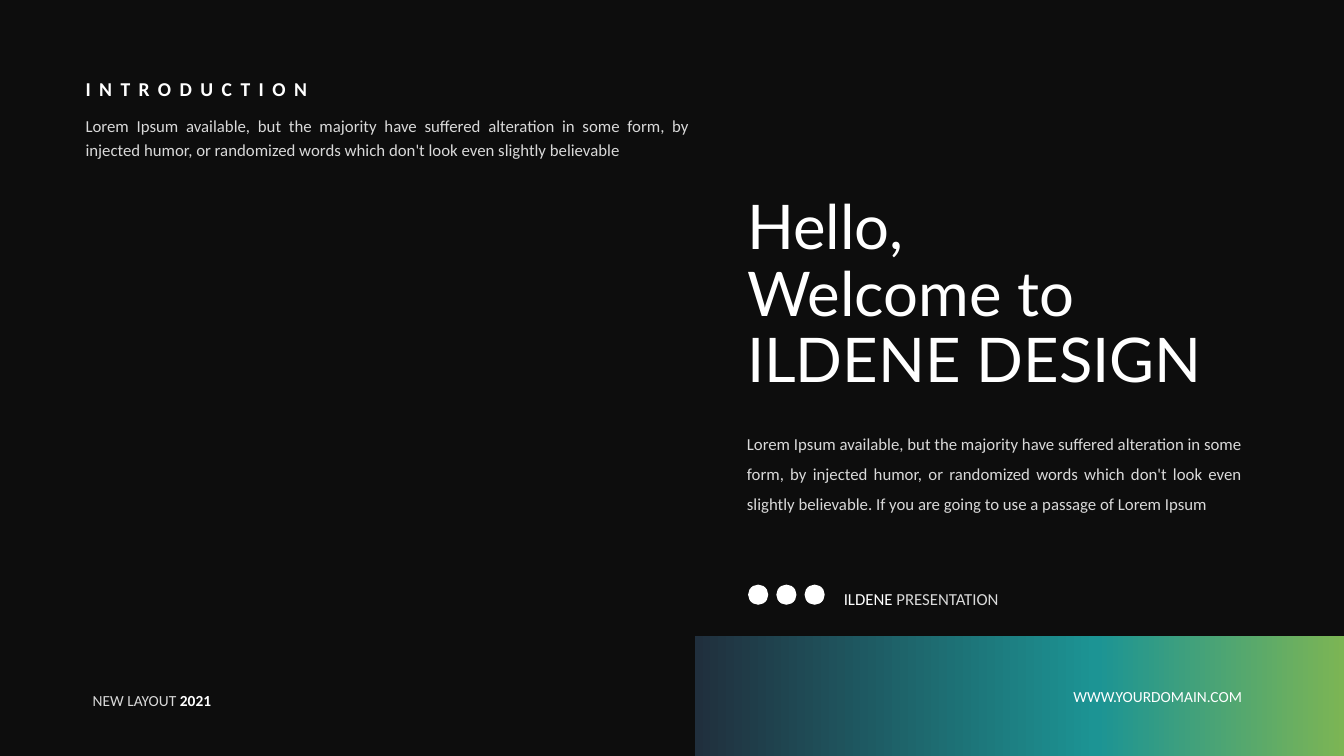
import copy
import pptx
import pptx.util
import pptx.dml.color
import pptx.enum.shapes
import pptx.enum.text

Inches = pptx.util.Inches
ALIGN = pptx.enum.text.PP_ALIGN
SHAPE = pptx.enum.shapes.MSO_SHAPE

# Content
WHITE, GREY, BLACK = "FFFFFF", "D9D9D9", "0D0D0D"
LOREM = ("Lorem Ipsum available, but the majority have suffered alteration in some "
         "form, by injected humor, or randomized words which don't look even "
         "slightly believable")
TITLE = ["Hello,", "Welcome to ILDENE DESIGN"]
STOPS = [(0, "202F3D"), (0.62, "1C9494"), (1, "7CB554")]
BAND = (6.89, 6.31, 6.44, 1.19)
DOTS = {"left": 7.42, "top": 5.8, "size": 0.2, "step": 0.28, "count": 3}

# Box, size, align, line spacing, right inset, runs of (text, colour, bold)
TEXTS = [
    ((0.75, 0.71, 3.01, 0.34), 14, ALIGN.LEFT, 1, 0.1,
     [("INTRODUCTION", WHITE, True)]),
    ((0.75, 1.06, 6.25, 0.56), 12, ALIGN.JUSTIFY, 1.2, 0.16,
     [(LOREM, GREY, False)]),
    ((7.31, 4.15, 5.17, 1), 12, ALIGN.JUSTIFY, 1.5, 0.16,
     [(LOREM + ". If you are going to use a passage of Lorem Ipsum", GREY, False)]),
    ((8.27, 5.69, 2.09, 0.39), 12, ALIGN.JUSTIFY, 1.5, 0.16,
     [("ILDENE", WHITE, False), (" PRESENTATION", GREY, False)]),
    ((10.13, 6.77, 2.35, 0.28), 11, ALIGN.RIGHT, 1, 0.16,
     [("WWW.YOURDOMAIN.COM", WHITE, False)]),
    ((0.82, 6.72, 1.75, 0.37), 11, ALIGN.JUSTIFY, 1.5, 0.16,
     [("NEW LAYOUT ", GREY, False), ("2021", WHITE, True)]),
]


def rgb(code):
    return pptx.dml.color.RGBColor.from_string(code)


def style(run, face, size, code, bold=False):
    run.font.name = face
    run.font.size = pptx.util.Pt(size)
    run.font.bold = bold
    run.font.color.rgb = rgb(code)


def add_text(slide, box, size, align, space, right, runs):
    shape = slide.shapes.add_textbox(*map(Inches, box))
    frame = shape.text_frame
    frame.word_wrap = True
    frame.auto_size = pptx.enum.text.MSO_AUTO_SIZE.SHAPE_TO_FIT_TEXT
    frame.margin_right = Inches(right)
    para = frame.paragraphs[0]
    para.alignment, para.line_spacing = align, space
    for text, code, bold in runs:
        run = para.add_run()
        run.text = text
        style(run, "Calibri", size, code, bold)
    return shape


def add_plain(slide, kind, box):
    shape = slide.shapes.add_shape(kind, *map(Inches, box))
    shape.shadow.inherit = False
    shape.line.fill.background()
    return shape


def add_title(slide):
    title = slide.shapes.title
    title.left, title.top, title.width, title.height = map(
        Inches, (7.31, 1.9, 5.03, 2.1))
    frame = title.text_frame
    frame.text = "\n".join(TITLE)
    frame.word_wrap = True
    frame.auto_size = pptx.enum.text.MSO_AUTO_SIZE.SHAPE_TO_FIT_TEXT
    frame.vertical_anchor = pptx.enum.text.MSO_ANCHOR.TOP
    for para in frame.paragraphs:
        para.alignment, para.line_spacing = ALIGN.LEFT, 0.9
        style(para.runs[0], "Lato", 44, WHITE)


def add_band(slide):
    fill = add_plain(slide, SHAPE.RECTANGLE, BAND).fill
    fill.gradient()
    fill.gradient_angle = 0
    # The default gradient has two stops; add a third
    last = fill.gradient_stops[1]._gs
    last.addnext(copy.deepcopy(last))
    for stop, (place, code) in zip(fill.gradient_stops, STOPS):
        stop.position = place
        stop.color.rgb = rgb(code)


def main():
    deck = pptx.Presentation()
    deck.slide_width, deck.slide_height = Inches(13.33), Inches(7.5)
    slide = deck.slides.add_slide(deck.slide_layouts[5])
    slide.background.fill.solid()
    slide.background.fill.fore_color.rgb = rgb(BLACK)

    add_title(slide)
    add_band(slide)

    # Row of round marks
    for i in range(DOTS["count"]):
        left = DOTS["left"] + i * DOTS["step"]
        dot = add_plain(slide, SHAPE.OVAL,
                        (left, DOTS["top"], DOTS["size"], DOTS["size"]))
        dot.fill.solid()
        dot.fill.fore_color.rgb = rgb(WHITE)

    # Texts, the first with wide letter spacing
    boxes = [add_text(slide, *item) for item in TEXTS]
    head = boxes[0].text_frame.paragraphs[0].runs[0]
    head._r.get_or_add_rPr().set("spc", "600")

    deck.save("out.pptx")


if __name__ == "__main__":
    main()
